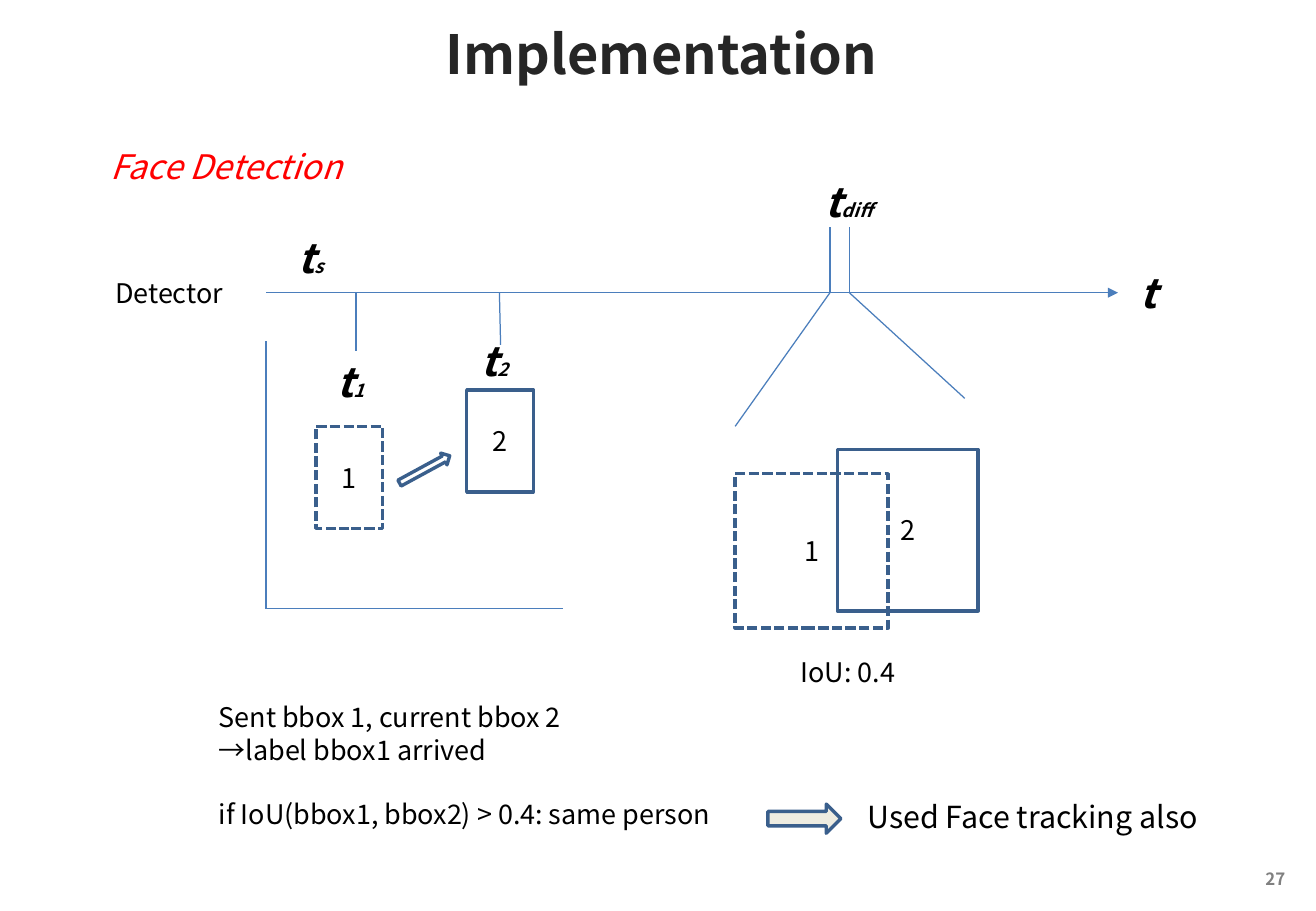
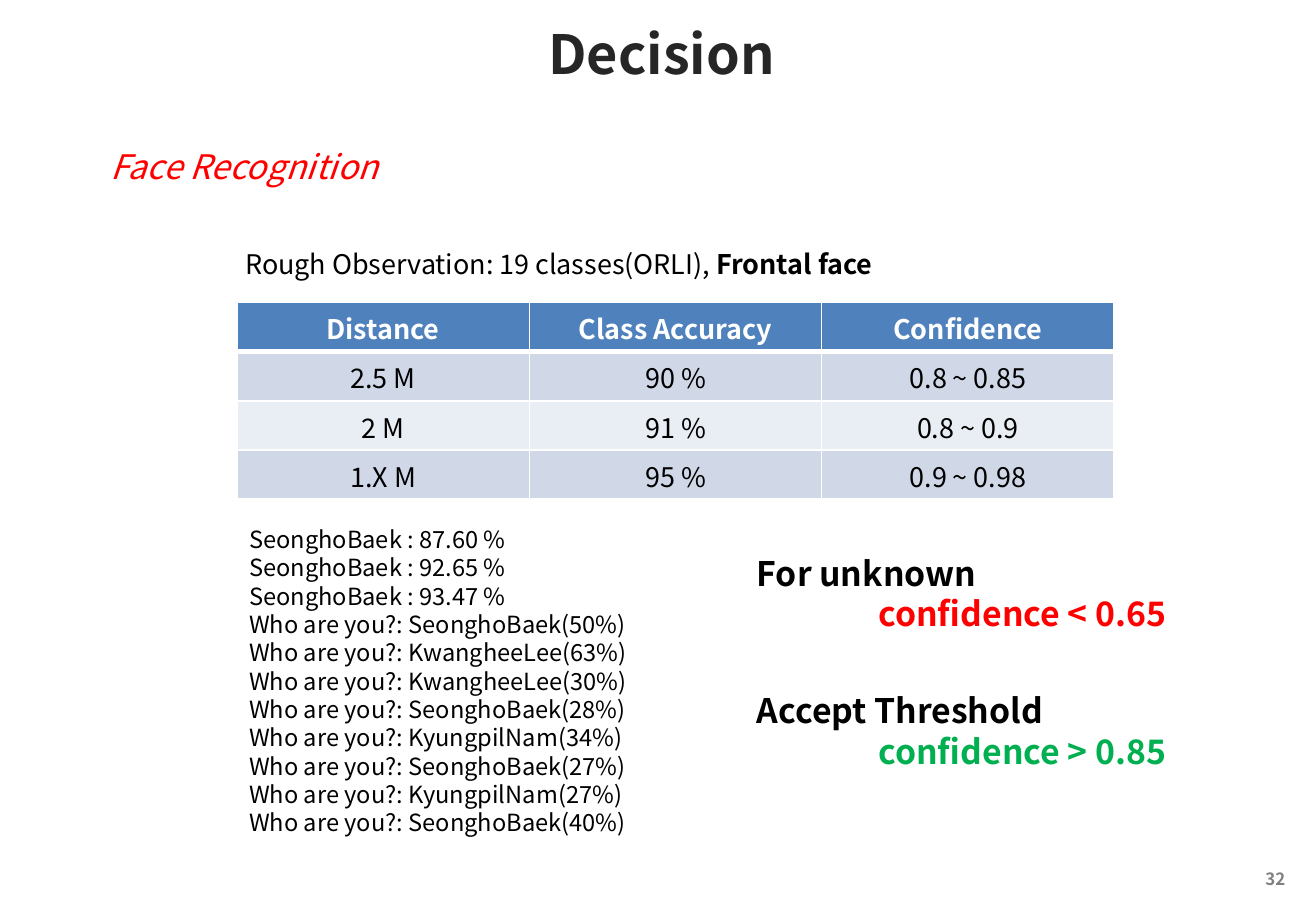
from dataclasses import dataclass
from itertools import product
from typing import Any, NamedTuple

from lxml.etree import SubElement
from pptx import Presentation
from pptx.dml.color import RGBColor
from pptx.enum.dml import MSO_LINE
from pptx.enum.shapes import MSO_CONNECTOR, MSO_SHAPE
from pptx.enum.text import MSO_ANCHOR, MSO_AUTO_SIZE, PP_ALIGN
from pptx.oxml.ns import qn
from pptx.slide import Slide
from pptx.util import Inches, Pt


@dataclass(frozen=True)
class Theme:
    font: str = "Noto Sans CJK KR"
    # Colours
    ink: str = "000000"
    title_ink: str = "262626"
    footer_ink: str = "808080"
    alert: str = "FF0000"
    accept: str = "00B050"
    white: str = "FFFFFF"
    line: str = "4B7EBC"
    outline: str = "3A5F8C"
    arrow_fill: str = "EEECE1"
    header: str = "4F81BD"
    bands: tuple[str, str] = ("D0D8E8", "E9EDF4")
    # Type sizes in points
    title: int = 32
    symbol: int = 24
    heading: int = 20
    remark: int = 18
    text: int = 16
    log: int = 14
    subscript: int = 11
    footer: int = 10


THEME = Theme()
CELL = 0.1  # inches per grid column and row
COLUMNS, ROWS = 108.3, 75


class Area(NamedTuple):
    """A rectangle in grid columns and rows."""
    column: float
    row: float
    columns: float
    rows: float


class Span(NamedTuple):
    text: str
    size: int = THEME.text
    color: str = THEME.ink
    bold: bool = False
    italic: bool = False


@dataclass(frozen=True)
class Para:
    spans: tuple[Span, ...]
    indent: float = 0  # grid columns
    before: int = 0  # points


class TimeLabel(NamedTuple):
    subscript: str
    area: Area


class Segment(NamedTuple):
    start: tuple[float, float]
    end: tuple[float, float]
    arrow: bool = False


class BoundingBox(NamedTuple):
    number: str
    area: Area
    dashed: bool


class Threshold(NamedTuple):
    name: str
    rule: str
    color: str
    row: float


def grid(cells: float) -> int:
    return Inches(cells * CELL)


def lengths(area: Area) -> list[int]:
    return [grid(value) for value in area]


def line(text: str, **style: Any) -> Para:
    return Para((Span(text, **style),))


def apply(target: Any, values: dict[str, Any]) -> None:
    for name, value in values.items():
        setattr(target, name, value)


# Text

def write(frame: Any, paras: list[Para], align: PP_ALIGN = PP_ALIGN.LEFT,
          **frame_format: Any) -> None:
    apply(frame, {"word_wrap": True, **frame_format})
    for index, para in enumerate(paras):
        paragraph = frame.add_paragraph() if index else frame.paragraphs[0]
        properties = paragraph._p.get_or_add_pPr()
        properties.set("marL", str(grid(para.indent)))
        properties.set("indent", "0")
        SubElement(properties, qn("a:buNone"))
        apply(paragraph, {"alignment": align, "space_before": Pt(para.before)})
        for span in para.spans:
            run = paragraph.add_run()
            run.text = span.text
            apply(run.font, {"name": THEME.font, "size": Pt(span.size),
                             "bold": span.bold, "italic": span.italic})
            run.font.color.rgb = RGBColor.from_string(span.color)
            SubElement(run._r.get_or_add_rPr(), qn("a:ea"), typeface=THEME.font)


def add_text(page: Slide, area: Area, *paras: Para, **options: Any) -> None:
    write(page.shapes.add_textbox(*lengths(area)).text_frame, list(paras), **options)


def fill_placeholder(box: Any, area: Area, paras: list[Para], **options: Any) -> None:
    apply(box, dict(zip(("left", "top", "width", "height"), lengths(area))))
    write(box.text_frame, paras, auto_size=MSO_AUTO_SIZE.NONE, **options)


# Shapes and lines

def add_outline(page: Slide, kind: MSO_SHAPE, area: Area, fill: str = "",
                dashed: bool = False, rotation: float = 0) -> Any:
    shape = page.shapes.add_shape(kind, *lengths(area))
    shape.shadow.inherit = False
    shape.rotation = rotation
    if fill:
        shape.fill.solid()
        shape.fill.fore_color.rgb = RGBColor.from_string(fill)
    else:
        shape.fill.background()
    shape.line.color.rgb = RGBColor.from_string(THEME.outline)
    shape.line.width = Pt(2)
    if dashed:
        shape.line.dash_style = MSO_LINE.SQUARE_DOT
    return shape


def add_bounding_box(page: Slide, item: BoundingBox) -> None:
    box = add_outline(page, MSO_SHAPE.RECTANGLE, item.area, dashed=item.dashed)
    write(box.text_frame, [line(item.number)], PP_ALIGN.CENTER,
          vertical_anchor=MSO_ANCHOR.MIDDLE)


def add_segment(page: Slide, segment: Segment) -> None:
    ends = [grid(value) for value in segment.start + segment.end]
    connector = page.shapes.add_connector(MSO_CONNECTOR.STRAIGHT, *ends)
    connector.line.color.rgb = RGBColor.from_string(THEME.line)
    connector.line.width = Pt(0.75)
    if segment.arrow:
        SubElement(connector.line._get_or_add_ln(), qn("a:tailEnd"), type="triangle")
    SubElement(connector._element.spPr, qn("a:effectLst"))


# Table

def add_borders(cell: Any, widths: dict[str, float]) -> None:
    properties = cell._tc.get_or_add_tcPr()
    for side, width in widths.items():
        border = SubElement(properties, qn(f"a:ln{side}"), w=str(Pt(width)))
        fill = SubElement(border, qn("a:solidFill"))
        SubElement(fill, qn("a:srgbClr"), val=THEME.white)


def add_grid_table(page: Slide, area: Area, rows: list[tuple[str, ...]]) -> None:
    height, width = len(rows), len(rows[0])
    table = page.shapes.add_table(height, width, *lengths(area)).table
    table.horz_banding = False
    for row, column in product(range(height), range(width)):
        cell, is_header = table.cell(row, column), row == 0
        add_borders(cell, {"L": 1, "R": 1, "T": 3 if row == 1 else 1,
                           "B": 3 if is_header else 1})
        cell.fill.solid()
        color = THEME.header if is_header else THEME.bands[(row - 1) % 2]
        cell.fill.fore_color.rgb = RGBColor.from_string(color)
        ink = THEME.white if is_header else THEME.ink
        write(cell.text_frame, [line(rows[row][column], color=ink, bold=is_header)],
              PP_ALIGN.CENTER)


# Pages

def add_page(deck: Any, title: str, heading: str, number: int,
             body_area: Area, body: list[Para]) -> Slide:
    """Add a page with the title, heading, list and number all pages share."""
    page = deck.slides.add_slide(deck.slide_layouts[1])
    fill_placeholder(
        page.shapes.title, Area(0.3, 1.2, COLUMNS, 6.3),
        [line(title, size=THEME.title, color=THEME.title_ink, bold=True)],
        align=PP_ALIGN.CENTER, vertical_anchor=MSO_ANCHOR.MIDDLE)
    fill_placeholder(page.placeholders[1], body_area, body,
                     vertical_anchor=MSO_ANCHOR.TOP)
    add_text(page, Area(8.1, 11.5, 31.5, 4.4),
             line(heading, size=THEME.heading, color=THEME.alert, italic=True))
    add_text(page, Area(102.2, 71.5, 5.5, 1.7),
             line(str(number), size=THEME.footer, color=THEME.footer_ink, bold=True),
             align=PP_ALIGN.CENTER, margin_top=0, margin_bottom=0)
    return page


def build_implementation(deck: Any) -> None:
    page = add_page(
        deck, "Implementation", "Face Detection", 27, Area(17, 57.2, 52, 14.5),
        [line("Sent bbox 1, current bbox 2"),
         line("→label bbox1 arrived"),
         Para((Span("if IoU(bbox1, bbox2) > 0.4: same person"),), before=19)])

    # Time axis, its ticks, the plot frame and the zoom lines
    axis, origin, floor = 24.1, 21.9, 50.1
    before, after = 68.3, 69.9
    for segment in (
        Segment((origin, axis), (92, axis), arrow=True),
        Segment((29.3, axis), (29.3, 28.9)),
        Segment((41.1, axis), (41.2, 28.4)),
        Segment((before, 18.7), (before, axis)),
        Segment((after, 18.7), (after, axis)),
        Segment((before, axis), (60.5, 35.1)),
        Segment((after, axis), (79.4, 32.8)),
        Segment((origin, 28.1), (origin, floor)),
        Segment((origin, floor), (46.3, floor)),
    ):
        add_segment(page, segment)

    # Time labels
    for label in (
        TimeLabel("", Area(92.8, 21.6, 2.4, 5)),
        TimeLabel("s", Area(23.5, 18.7, 5.3, 5)),
        TimeLabel("1", Area(26.7, 28.9, 5.3, 5)),
        TimeLabel("2", Area(38.6, 27.2, 5.3, 5)),
        TimeLabel("diff", Area(66.9, 14.1, 7, 5)),
    ):
        parts = (("t", THEME.symbol), (label.subscript, THEME.subscript))
        spans = tuple(Span(text, size, bold=True, italic=True)
                      for text, size in parts if text)
        add_text(page, label.area, Para(spans))

    # Bounding boxes, apart and overlapping
    for item in (
        BoundingBox("1", Area(26, 35.1, 5.5, 8.4), True),
        BoundingBox("2", Area(38.4, 32.1, 5.5, 8.4), False),
        BoundingBox("1", Area(60.5, 39, 12.6, 12.7), True),
        BoundingBox("2", Area(68.9, 37, 11.6, 13.3), False),
    ):
        add_bounding_box(page, item)

    # Arrows and remarks
    add_outline(page, MSO_SHAPE.RIGHT_ARROW, Area(32.6, 38.1, 4.7, 1.1), rotation=331.4)
    add_outline(page, MSO_SHAPE.RIGHT_ARROW, Area(63.2, 66.2, 6, 2.4), THEME.arrow_fill)
    add_text(page, Area(8.5, 22.3, 11, 3.7), line("Detector"))
    add_text(page, Area(64.9, 53.5, 11, 3.7), line("IoU: 0.4"))
    add_text(page, Area(70.4, 65.2, 30.7, 4),
             line("Used Face tracking also", size=THEME.remark))


def build_decision(deck: Any) -> None:
    known = ("87.60", "92.65", "93.47")
    guesses = (("SeonghoBaek", 50), ("KwangheeLee", 63), ("KwangheeLee", 30),
               ("SeonghoBaek", 28), ("KyungpilNam", 34), ("SeonghoBaek", 27),
               ("KyungpilNam", 27), ("SeonghoBaek", 40))
    log = [f"SeonghoBaek : {score} %" for score in known]
    log += [f"Who are you?: {name}({score}%)" for name, score in guesses]
    page = add_page(deck, "Decision", "Face Recognition", 32,
                    Area(19.5, 42.7, 45.7, 27.3),
                    [line(entry, size=THEME.log) for entry in log])

    # Observation table
    add_text(page, Area(19.2, 19.9, 56.2, 3.7),
             Para((Span("Rough Observation: 19 classes(ORLI), "),
                   Span("Frontal face", bold=True))))
    add_grid_table(page, Area(19.5, 24.9, 72.2, 16.2), [
        ("Distance", "Class Accuracy", "Confidence"),
        ("2.5 M", "90 %", "0.8 ~ 0.85"),
        ("2 M", "91 %", "0.8 ~ 0.9"),
        ("1.X M", "95 %", "0.9 ~ 0.98"),
    ])

    # Confidence thresholds
    for item in (
        Threshold("For unknown", "confidence < 0.65", THEME.alert, 45),
        Threshold("Accept Threshold", "confidence > 0.85", THEME.accept, 56.3),
    ):
        rule = Span(item.rule, THEME.heading, item.color, bold=True)
        add_text(page, Area(61.3, item.row, 39.4, 7.7),
                 line(item.name, size=THEME.heading, bold=True),
                 Para((rule,), indent=10))


def main() -> None:
    deck = Presentation()
    apply(deck, {"slide_width": grid(COLUMNS), "slide_height": grid(ROWS)})
    build_implementation(deck)
    build_decision(deck)
    deck.save("out.pptx")


if __name__ == "__main__":
    main()
